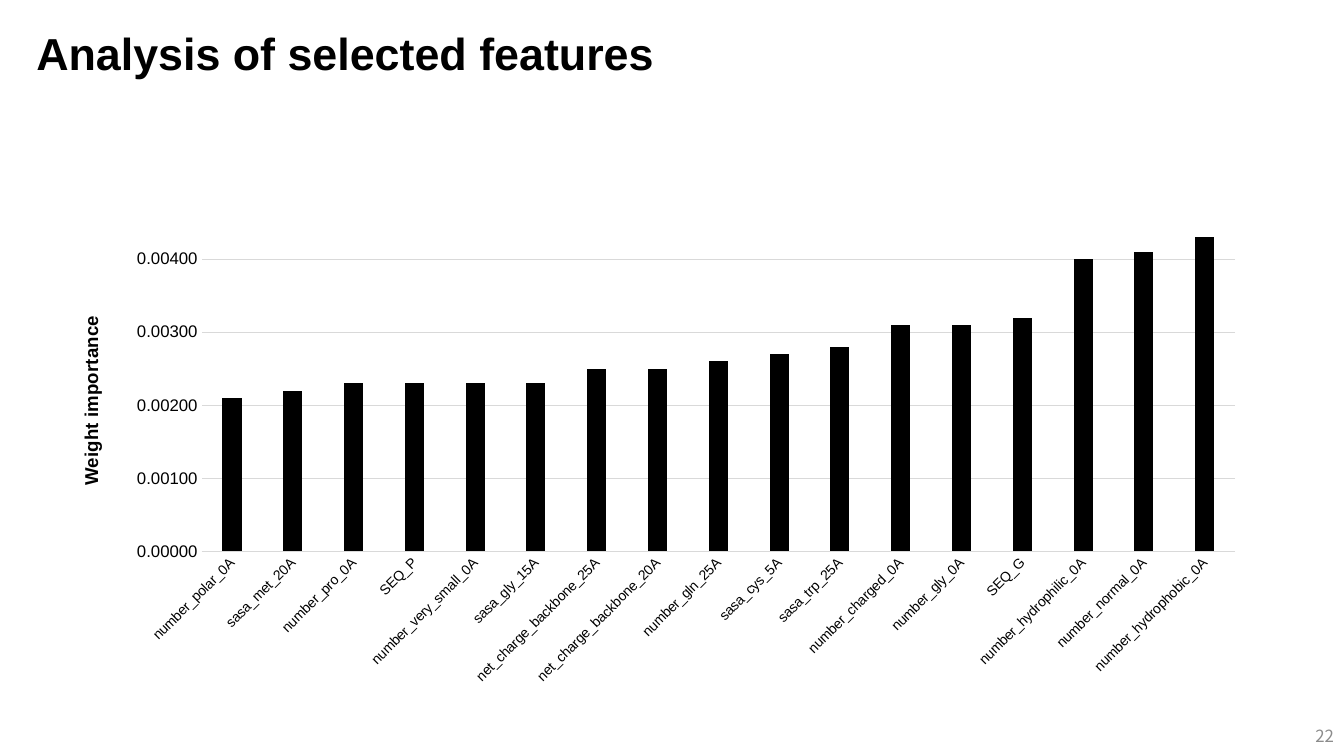
import pptx
import pptx.chart.data
import pptx.dml.color
import pptx.enum.chart
import pptx.enum.text
import pptx.oxml
import pptx.oxml.ns
import pptx.util
from pptx.util import Inches

BLACK = pptx.dml.color.RGBColor(0x00, 0x00, 0x00)
GRID_GRAY = pptx.dml.color.RGBColor(0xD9, 0xD9, 0xD9)
NUMBER_GRAY = pptx.dml.color.RGBColor(0x8C, 0x8C, 0x8C)
MAIN_FONT = "Arial"
NUMBER_FONT = "Noto Sans CJK KR"
CHART_WIDTH, CHART_HEIGHT = Inches(12.1), Inches(4.88)

FEATURE_WEIGHTS = {
    "number_polar_0A": 0.0021,
    "sasa_met_20A": 0.0022,
    "number_pro_0A": 0.0023,
    "SEQ_P": 0.0023,
    "number_very_small_0A": 0.0023,
    "sasa_gly_15A": 0.0023,
    "net_charge_backbone_25A": 0.0025,
    "net_charge_backbone_20A": 0.0025,
    "number_gln_25A": 0.0026,
    "sasa_cys_5A": 0.0027,
    "sasa_trp_25A": 0.0028,
    "number_charged_0A": 0.0031,
    "number_gly_0A": 0.0031,
    "SEQ_G": 0.0032,
    "number_hydrophilic_0A": 0.004,
    "number_normal_0A": 0.0041,
    "number_hydrophobic_0A": 0.0043,
}


def style_font(font, size, color=BLACK, name=MAIN_FONT, bold=False):
    font.name = name
    font.size = pptx.util.Pt(size)
    font.bold = bold
    font.color.rgb = color


def style_line(line):
    line.color.rgb = GRID_GRAY
    line.width = pptx.util.Pt(0.75)


def place_in_chart(parent, position, left, top, width=None, height=None):
    """Give a chart part a fixed place, measured from the chart's corner."""
    settings = {"xMode": "edge", "yMode": "edge",
                "x": left / CHART_WIDTH, "y": top / CHART_HEIGHT}
    if width is not None:
        settings = {"layoutTarget": "inner", **settings,
                    "w": width / CHART_WIDTH, "h": height / CHART_HEIGHT}
    parts = "".join(f'<c:{key} val="{value}"/>' for key, value in settings.items())
    layout = pptx.oxml.parse_xml(
        f'<c:layout {pptx.oxml.ns.nsdecls("c")}>'
        f"<c:manualLayout>{parts}</c:manualLayout></c:layout>"
    )
    for old in parent.findall(pptx.oxml.ns.qn("c:layout")):
        parent.remove(old)
    parent.insert(position, layout)


def add_title(page, text):
    title = page.shapes.title
    title.left, title.top = Inches(0.26), Inches(0.2)
    title.width, title.height = Inches(11.29), Inches(0.72)
    frame = title.text_frame
    frame.text = text
    frame.auto_size = pptx.enum.text.MSO_AUTO_SIZE.NONE
    frame.vertical_anchor = pptx.enum.text.MSO_ANCHOR.MIDDLE
    frame.margin_bottom = Inches(0.13)
    para = frame.paragraphs[0]
    para.alignment = pptx.enum.text.PP_ALIGN.LEFT
    style_font(para.runs[0].font, 32, bold=True)


def add_page_number(page, text):
    box = page.shapes.add_textbox(Inches(10.33), Inches(7.1), Inches(3), Inches(0.4))
    frame = box.text_frame
    frame.word_wrap = True
    frame.vertical_anchor = pptx.enum.text.MSO_ANCHOR.MIDDLE
    frame.text = text
    para = frame.paragraphs[0]
    para.alignment = pptx.enum.text.PP_ALIGN.RIGHT
    style_font(para.runs[0].font, 12, NUMBER_GRAY, NUMBER_FONT)


def style_category_axis(axis):
    axis.major_tick_mark = pptx.enum.chart.XL_TICK_MARK.NONE
    style_font(axis.tick_labels.font, 10)
    style_line(axis.format.line)
    # Slanted labels
    body = axis._element.find(pptx.oxml.ns.qn("c:txPr")).find(pptx.oxml.ns.qn("a:bodyPr"))
    body.set("rot", str(-45 * 60000))
    body.set("vert", "horz")


def style_value_axis(axis, title):
    axis.minimum_scale, axis.maximum_scale = 0, 0.0045
    axis.major_unit = 0.001
    axis.major_tick_mark = pptx.enum.chart.XL_TICK_MARK.NONE
    axis.tick_labels.number_format = "0.00000"
    axis.tick_labels.number_format_is_linked = False
    style_font(axis.tick_labels.font, 12)
    axis.format.line.fill.background()
    style_line(axis.major_gridlines.format.line)
    # Axis title
    frame = axis.axis_title.text_frame
    frame.text = title
    style_font(frame.paragraphs[0].runs[0].font, 13.3, bold=True)
    place_in_chart(axis.axis_title._element, 1, Inches(0.18), Inches(1))


def add_weight_chart(page):
    data = pptx.chart.data.CategoryChartData(number_format="0.00000")
    data.categories = list(FEATURE_WEIGHTS)
    data.add_series("Series 1", list(FEATURE_WEIGHTS.values()))
    chart = page.shapes.add_chart(
        pptx.enum.chart.XL_CHART_TYPE.COLUMN_CLUSTERED,
        Inches(0.57), Inches(2.1), CHART_WIDTH, CHART_HEIGHT, data,
    ).chart
    chart.has_legend = False
    chart.has_title = False
    style_font(chart.font, 10, name=NUMBER_FONT)

    # Columns
    plot = chart.plots[0]
    plot.gap_width, plot.overlap = 219, -27
    plot.vary_by_categories = False
    fill = plot.series[0].format.fill
    fill.solid()
    fill.fore_color.rgb = BLACK

    # Axes and plot area
    style_category_axis(chart.category_axis)
    style_value_axis(chart.value_axis, "Weight importance")
    place_in_chart(chart._chartSpace.chart.plotArea, 0,
                   Inches(1.43), Inches(0.11), Inches(10.25), Inches(3.26))


def main():
    deck = pptx.Presentation()
    deck.slide_width, deck.slide_height = Inches(13.33), Inches(7.5)
    page = deck.slides.add_slide(deck.slide_layouts[5])
    add_title(page, "Analysis of selected features")
    add_page_number(page, "22")
    add_weight_chart(page)
    deck.save("out.pptx")


if __name__ == "__main__":
    main()
